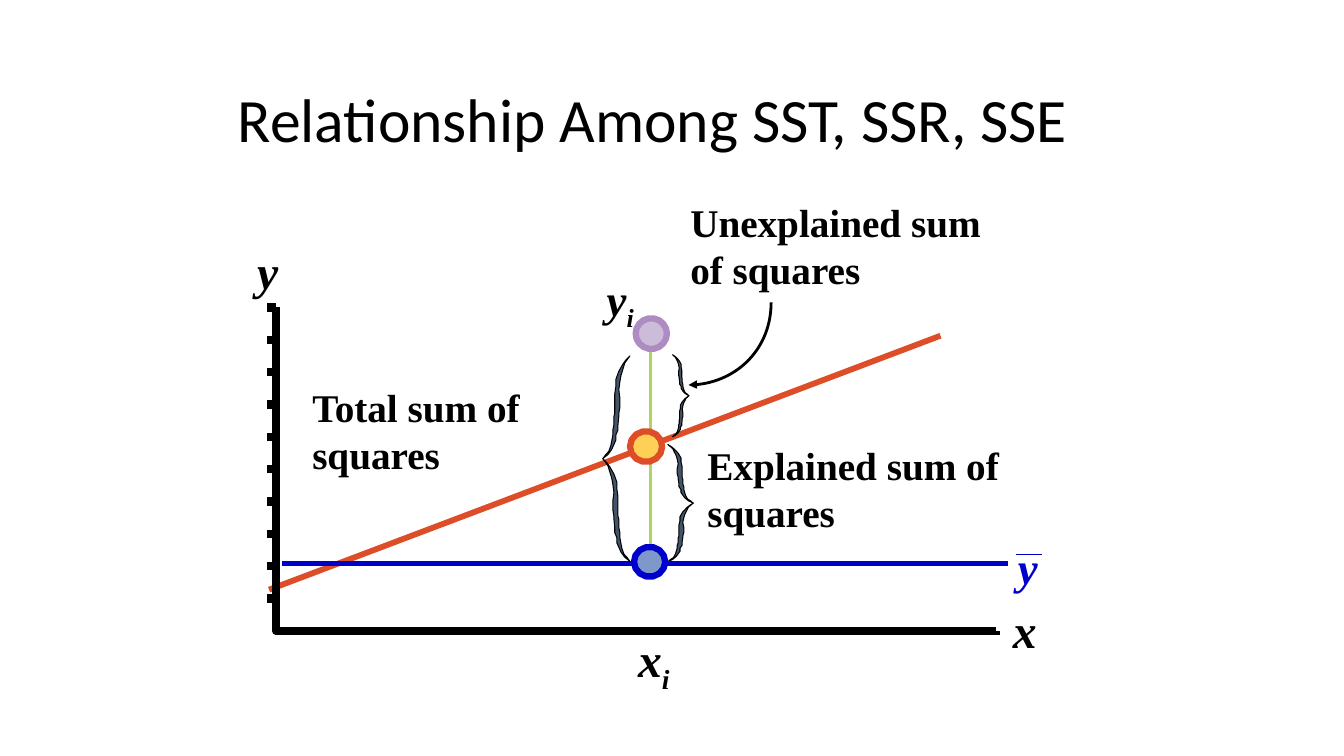
"""Build a slide that splits the total sum of squares around a regression line."""
from math import cos, pi, sin

from lxml import etree
from pptx import Presentation
from pptx.dml.color import RGBColor
from pptx.enum import text
from pptx.oxml import ns
from pptx.util import Pt

COLORS = {
    "black": "000000", "mean": "0000CC", "mean_dot": "7E98CA",
    "fit": "DC4D28", "fit_dot": "FFCF56", "observed": "AD8CC1",
    "observed_dot": "CDBBDA", "residual": "B0D460", "brace": "44546A",
}
SERIF = "Times New Roman"
UNITS = 100
ORIGIN_X, ORIGIN_Y = 197.3, 450.7
AXIS_TOP, AXIS_RIGHT = 219.6, 711.4
TICKS = 10
POINT_X = 464.4
HALF_BRACE = [
    (0, 0), (.15, .04), (.26, .08), (.41, .15), (.52, .23), (.52, .3),
    (.56, .37), (.56, .48), (.56, .56), (.59, .59), (.59, .67), (.63, .72),
    (.63, .77), (.7, .87), (.78, .93), (.89, .96), (1, 1), (.81, .96),
    (.67, .91), (.52, .82), (.52, .77), (.44, .72), (.44, .67), (.41, .59),
    (.41, .56), (.37, .5), (.37, .41), (.41, .33), (.37, .25), (.33, .19),
    (.26, .13), (.19, .07), (.11, .04),
]


def color(name):
    return RGBColor.from_string(COLORS[name])


def set_line(line, name, width):
    line.color.rgb = color(name)
    line.width = Pt(width)


def add_line(slide, start, end, name, width):
    line = slide.shapes.add_connector(1, *map(Pt, (*start, *end)))
    set_line(line.line, name, width)
    etree.SubElement(line._element.spPr, ns.qn("a:effectLst"))


def add_outline(slide, points, name, width, fill=None):
    """Draw a closed outline with a fill, or an open one without."""
    scaled = [(round(x * UNITS), round(y * UNITS)) for x, y in points]
    builder = slide.shapes.build_freeform(*scaled[0], scale=Pt(1) / UNITS)
    builder.add_line_segments(scaled[1:], close=fill is not None)
    outline = builder.convert_to_shape()
    outline.shadow.inherit = False
    if fill:
        outline.fill.solid()
        outline.fill.fore_color.rgb = color(fill)
    else:
        outline.fill.background()
    set_line(outline.line, name, width)
    return outline


def add_dot(slide, center, size, sides, fill, name):
    """Draw a data point as a regular polygon."""
    angles = [pi + 2 * pi * i / sides for i in range(sides)]
    points = [(center[0] + size[0] / 2 * cos(a), center[1] + size[1] / 2 * sin(a))
              for a in angles]
    add_outline(slide, points, name, 4.5, fill)


def add_brace(slide, x, y, depth, half):
    """Draw a brace from its top end; a negative depth points left."""
    for start_x, start_y, reach in ((x, y, depth), (x + depth, y + half, -depth)):
        points = [(start_x + u * reach, start_y + v * half) for u, v in HALF_BRACE]
        add_outline(slide, points, "black", 0.75, "brace")


def add_curved_arrow(slide, points):
    """Draw one Bezier curve with an arrowhead at its end."""
    arrow = add_outline(slide, points, "black", 2)
    path_element = next(arrow._element.iter(ns.qn("a:path")))
    curve = etree.SubElement(path_element, ns.qn("a:cubicBezTo"))
    for segment in path_element.findall(ns.qn("a:lnTo")):
        curve.append(segment[0])
        path_element.remove(segment)
    etree.SubElement(arrow.line._get_or_add_ln(), ns.qn("a:tailEnd"), type="triangle")


def add_text(slide, box, words, size, name="black", font=SERIF, bold=True,
             italic=False, subscript=None, spacing=None, tight=False):
    label = slide.shapes.add_textbox(*map(Pt, box))
    frame = label.text_frame
    frame.word_wrap = not tight
    if tight:
        frame.margin_left = frame.margin_right = 0
        frame.margin_top = frame.margin_bottom = 0
    paragraph = frame.paragraphs[0]
    paragraph.add_run().text = words
    if subscript:
        index = paragraph.add_run()
        index.text = subscript
        index._r.get_or_add_rPr().set("baseline", "-25000")
    if spacing:
        paragraph.line_spacing = spacing
    paragraph.font.name = font
    paragraph.font.size = Pt(size)
    paragraph.font.bold = bold
    paragraph.font.italic = italic
    paragraph.font.color.rgb = color(name)
    return label


def add_axes(slide):
    add_outline(slide, [(ORIGIN_X, AXIS_TOP), (ORIGIN_X, ORIGIN_Y),
                        (AXIS_RIGHT, ORIGIN_Y)], "black", 6)
    for i in range(TICKS):
        y = AXIS_TOP + i * (ORIGIN_Y - AXIS_TOP) / TICKS
        add_line(slide, (ORIGIN_X - 6.5, y), (ORIGIN_X, y), "black", 6)
        x = AXIS_RIGHT - i * (AXIS_RIGHT - ORIGIN_X) / TICKS
        add_line(slide, (x, ORIGIN_Y), (x, ORIGIN_Y + 2.9), "black", 6)


def main():
    deck = Presentation()
    deck.slide_width, deck.slide_height = Pt(960), Pt(540)
    slide = deck.slides.add_slide(deck.slide_layouts[6])

    add_line(slide, (POINT_X, 237.6), (POINT_X, 317.5), "residual", 2.25)
    add_text(slide, (183.6, 172.8, 15.1, 41), "y", 34, italic=True, tight=True)
    add_text(slide, (723.6, 429.1, 17.3, 41), "x", 34, italic=True, tight=True)
    add_dot(slide, (465.2, 238.3), (22.3, 21.9), 18, "observed_dot", "observed")
    add_line(slide, (POINT_X, 317.5), (POINT_X, 402.5), "residual", 2.25)
    add_line(slide, (192.2, 421.2), (671.8, 239.8), "fit", 4.13)
    add_axes(slide)
    add_brace(slide, 477, 317.5, 18.2, 41.9)
    add_brace(slide, 480.4, 253.4, 11.8, 29.3)
    add_dot(slide, (461.5, 319), (23, 22), 14, "fit_dot", "fit")
    add_line(slide, (201.6, 402.5), (720, 402.5), "mean", 4.13)
    add_dot(slide, (464, 401.3), (22.3, 21.4), 14, "mean_dot", "mean")
    add_brace(slide, 450, 254.2, -19.4, 73.4)
    add_text(slide, (455.8, 450, 23.8, 41), "x", 34, italic=True,
             subscript="i", tight=True)

    title = add_text(slide, (162.7, 35.3, 628.6, 104.4),
                     "Relationship Among SST, SSR, SSE", 44, font="Calibri",
                     bold=False, spacing=0.9)
    title.text_frame.vertical_anchor = text.MSO_ANCHOR.MIDDLE

    add_curved_arrow(slide, [(550.8, 216), (550.8, 248.6), (524.4, 275), (491.8, 275)])
    add_text(slide, (426.2, 185.8, 41.8, 49), "y", 32, italic=True,
             subscript="i", spacing=1.1)
    for left, top, words in ((486, 138.2, "Unexplained sum of squares"),
                             (216, 270, "Total sum of squares"),
                             (498.2, 311.8, "Explained sum of squares")):
        add_text(slide, (left, top, 228.2, 74.2), words, 28)
    add_text(slide, (720, 378, 41.8, 49), "y", 32, "mean", italic=True, spacing=1.1)
    add_line(slide, (725.8, 396), (744, 396), "mean", 0.75)
    deck.save("out.pptx")


if __name__ == "__main__":
    main()
